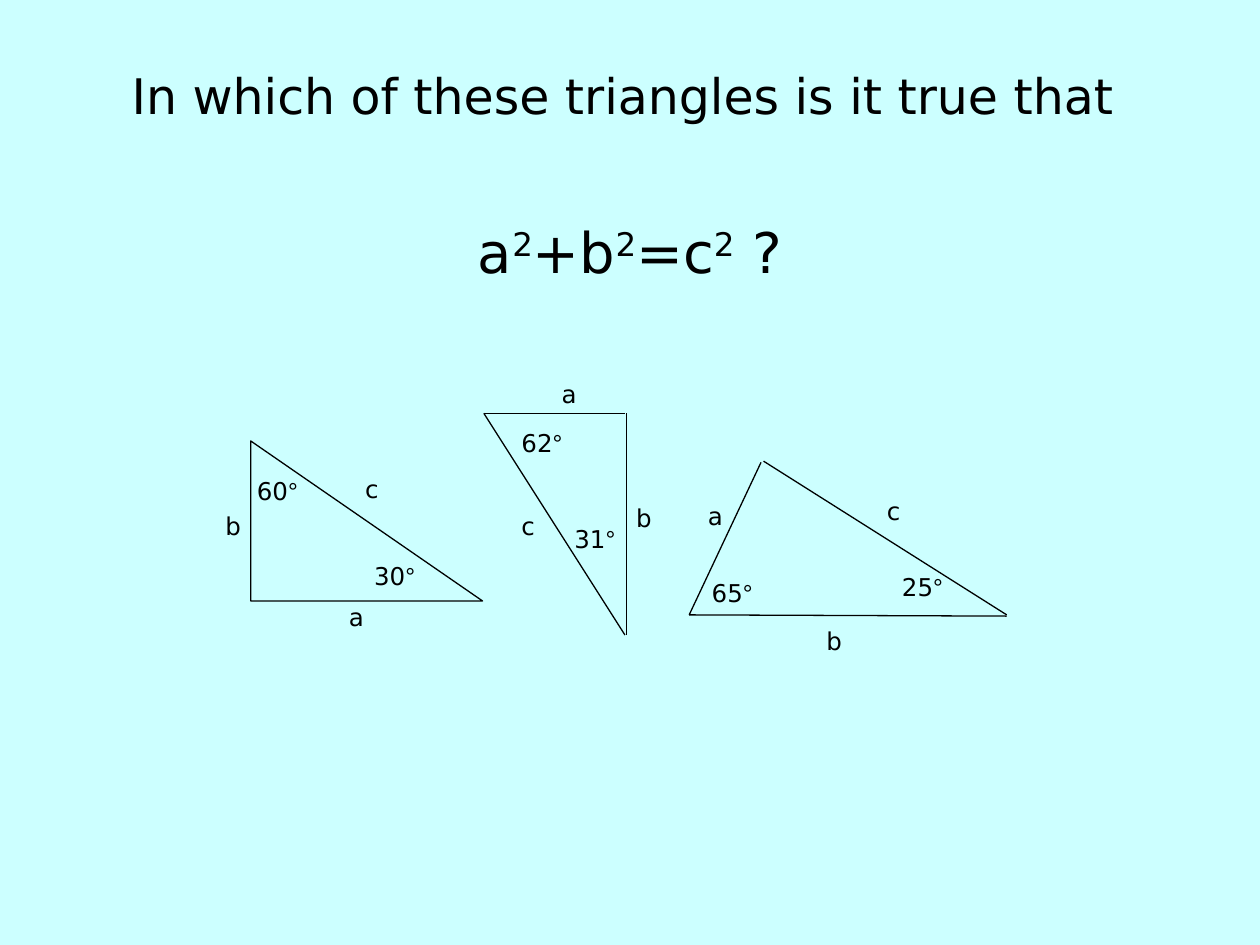
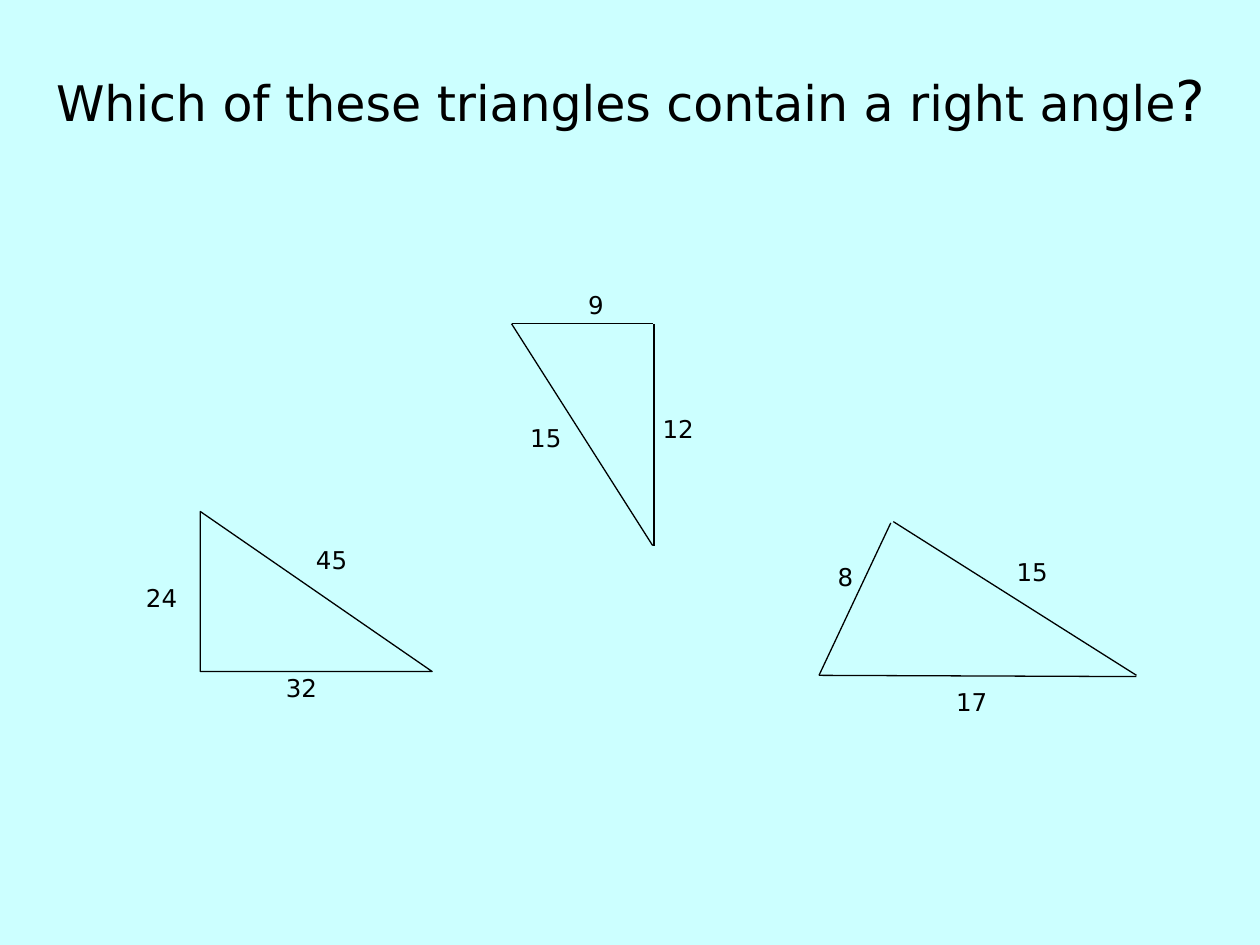
"""Build two slides of triangle questions about Pythagoras' theorem."""
from lxml.etree import SubElement
from pptx import Presentation
from pptx.dml.color import RGBColor
from pptx.enum.shapes import MSO_CONNECTOR, MSO_SHAPE
from pptx.enum.text import PP_ALIGN
from pptx.oxml.ns import qn
from pptx.util import Pt

PX = 9144
COLORS = {"background": "CCFFFF", "ink": "000000"}
FONT, DEGREE_FONT = "DejaVu Sans", "Arial"
LABEL_SIZE, LINE_WIDTH = 14, 0.75

HANGING = [(113, 176, 113, 0), (112, 0, 0, 0), (0, 0, 112, 176)]
LYING = [(57, 0, 0, 121), (0, 121, 252, 122), (252, 121, 59, -1)]

SLIDES = [
    {
        "title_box": (59, 44, 882, 192),
        "title": [
            (0, [("In which of these triangles is it true that ", 28, False)]),
            (53, [("a", 32, False), ("2", 32, True), ("+b", 32, False),
                  ("2", 32, True), ("=c", 32, False), ("2", 32, True),
                  (" ?", 32, False)]),
        ],
        "right_triangle": (199, 350),
        "outlines": [(547, 367, LYING), (384, 328, HANGING)],
        "labels": [
            ("b", 169, 401, 31), ("a", 267, 473, 31), ("c", 280, 371, 31),
            ("60°", 194, 373, 59), ("30°", 287, 440, 75),
            ("a", 552, 393, 31), ("b", 646, 492, 31), ("c", 694, 389, 31),
            ("65°", 555, 454, 59), ("25°", 706, 449, 64),
            ("b", 495, 394, 31), ("c", 404, 401, 31), ("a", 436, 296, 31),
            ("62°", 404, 335, 59), ("31°", 446, 411, 62),
        ],
    },
    {
        "title_box": (20, 44, 961, 192),
        "title": [
            (0, [("Which of these triangles contain a right angle", 28, False),
                 ("?", 32, False)]),
        ],
        "right_triangle": (159, 406),
        "outlines": [(650, 415, LYING), (406, 257, HANGING)],
        "labels": [
            ("24", 106, 458, 55), ("32", 217, 529, 63), ("45", 241, 428, 54),
            ("8", 655, 441, 31), ("17", 749, 540, 50), ("15", 797, 437, 50),
            ("12", 516, 324, 52), ("15", 411, 331, 45), ("9", 457, 225, 31),
        ],
    },
]


def add_box(s, x, y, w, h, top=5):
    tf = s.shapes.add_textbox(x * PX, y * PX, w * PX, h * PX).text_frame
    tf.word_wrap = True
    tf.margin_left = tf.margin_right = 10 * PX
    tf.margin_top, tf.margin_bottom = top * PX, 5 * PX
    return tf


def add_run(p, text, size, font=FONT):
    r = p.add_run()
    r.text = text
    r.font.size = Pt(size)
    r.font.name = font
    r.font.color.rgb = RGBColor.from_string(COLORS["ink"])
    return r


prs = Presentation()
prs.slide_width, prs.slide_height = 1000 * PX, 750 * PX

for content in SLIDES:
    s = prs.slides.add_slide(prs.slide_layouts[6])
    s.background.fill.solid()
    s.background.fill.fore_color.rgb = RGBColor.from_string(COLORS["background"])

    tf = add_box(s, *content["title_box"], top=8)
    for i, (space, runs) in enumerate(content["title"]):
        p = tf.add_paragraph() if i else tf.paragraphs[0]
        p.alignment = PP_ALIGN.CENTER
        p.space_before = Pt(space)
        for text, size, raised in runs:
            r = add_run(p, text, size)
            if raised:
                r.font._element.set("baseline", "30000")

    x, y = content["right_triangle"]
    sp = s.shapes.add_shape(MSO_SHAPE.RIGHT_TRIANGLE, x * PX, y * PX, 184 * PX, 127 * PX)
    sp.shadow.inherit = False
    sp.fill.background()
    outlines = [sp]

    for x, y, sides in content["outlines"]:
        for x1, y1, x2, y2 in sides:
            side = s.shapes.add_connector(
                MSO_CONNECTOR.STRAIGHT,
                (x + x1) * PX, (y + y1) * PX, (x + x2) * PX, (y + y2) * PX)
            outlines.append(side)

    for sp in outlines:
        sp.line.color.rgb = RGBColor.from_string(COLORS["ink"])
        sp.line.width = Pt(LINE_WIDTH)
    for side in outlines[1:]:
        SubElement(side._element.spPr, qn("a:effectLst"))

    for text, x, y, w in content["labels"]:
        p = add_box(s, x, y, w, 40).paragraphs[0]
        add_run(p, text.rstrip("°"), LABEL_SIZE)
        if text.endswith("°"):
            add_run(p, "°", LABEL_SIZE, DEGREE_FONT)

prs.save("out.pptx")
